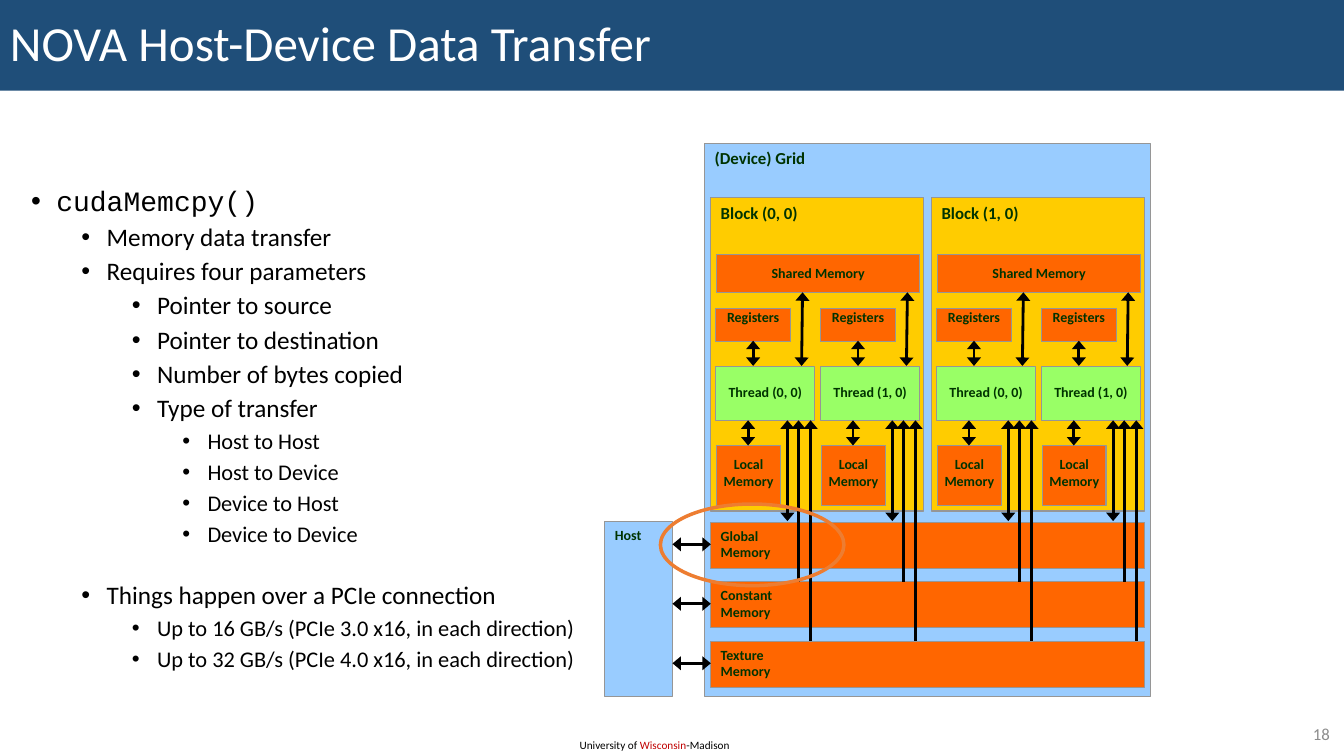
from dataclasses import dataclass
from typing import Optional, Sequence

from lxml.etree import SubElement
from pptx import Presentation
from pptx.dml.color import RGBColor
from pptx.enum.shapes import MSO_CONNECTOR, MSO_SHAPE
from pptx.enum.text import MSO_ANCHOR, PP_ALIGN
from pptx.oxml.ns import qn
from pptx.shapes.autoshape import Shape
from pptx.slide import Slide
from pptx.util import Pt

EMU_PER_PX = 9144  # 100 px to the inch


@dataclass(frozen=True)
class Theme:
    font: str = "Calibri"
    code_font: str = "Courier New"
    black: str = "000000"
    white: str = "FFFFFF"
    title_fill: str = "1F4E79"
    accent: str = "C00000"
    page_number: str = "8C8C8C"
    label: str = "003300"
    outline: str = "969696"
    device: str = "99CCFF"
    block: str = "FFCC00"
    memory: str = "FF6600"
    thread: str = "99FF66"
    highlight: str = "ED7D31"
    title_size: int = 35
    code_size: int = 20
    body_size: int = 18
    detail_size: int = 16
    heading_size: int = 12
    label_size: int = 10
    footer_size: int = 8


THEME = Theme()


@dataclass(frozen=True)
class Box:
    left: int
    top: int
    width: int
    height: int


@dataclass(frozen=True)
class Run:
    text: str
    color: Optional[str] = None


@dataclass(frozen=True)
class Bullet:
    text: str
    level: int
    size: int = THEME.body_size
    font: str = THEME.font
    space_before: int = 5


@dataclass(frozen=True)
class Arrow:
    start_x: int
    start_y: int
    end_x: int
    end_y: int
    both_ends: bool = True


BULLETS = (
    Bullet("cudaMemcpy()", 0, THEME.code_size, THEME.code_font, 0),
    Bullet("Memory data transfer", 1),
    Bullet("Requires four parameters", 1),
    Bullet("Pointer to source", 2),
    Bullet("Pointer to destination", 2),
    Bullet("Number of bytes copied", 2),
    Bullet("Type of transfer", 2),
    Bullet("Host to Host", 3, THEME.detail_size),
    Bullet("Host to Device", 3, THEME.detail_size),
    Bullet("Device to Host", 3, THEME.detail_size),
    Bullet("Device to Device", 3, THEME.detail_size),
    Bullet("Things happen over a PCIe connection", 1, space_before=25),
    Bullet("Up to 16 GB/s (PCIe 3.0 x16, in each direction)", 2, THEME.detail_size),
    Bullet("Up to 32 GB/s (PCIe 4.0 x16, in each direction)", 2, THEME.detail_size),
)

# Horizontal places are measured from the left edge of the thread.
THREAD_ARROWS = (
    Arrow(85, 363, 86, 290),
    Arrow(37, 363, 37, 338),
    Arrow(32, 442, 32, 417),
    Arrow(71, 417, 71, 517),
    Arrow(94, 417, 94, 636, both_ends=False),
    Arrow(82, 417, 82, 577, both_ends=False),
)


def px(length: int) -> int:
    return length * EMU_PER_PX


def add_paragraph(shape: Shape, runs: Sequence[Run], *, size: int, color: str = THEME.black,
                  font: str = THEME.font, bold: bool = False,
                  align: PP_ALIGN = PP_ALIGN.LEFT, line_spacing: float = 1.0,
                  space_before: int = 0, bullet_level: Optional[int] = None) -> None:
    """Fill the empty first paragraph of the shape, or append a new one."""
    frame = shape.text_frame
    paragraph = frame.add_paragraph() if frame.text else frame.paragraphs[0]
    paragraph.alignment = align
    paragraph.line_spacing = line_spacing
    paragraph.space_before = Pt(space_before)
    if bullet_level is not None:
        paragraph.level = bullet_level
        properties = paragraph._p.get_or_add_pPr()
        properties.set("marL", str(px(25 + 50 * bullet_level)))
        properties.set("indent", str(px(-25)))
        SubElement(properties, qn("a:buFont")).set("typeface", "Arial")
        SubElement(properties, qn("a:buChar")).set("char", "•")
    for item in runs:
        run = paragraph.add_run()
        run.text = item.text
        run.font.name = font
        run.font.size = Pt(size)
        run.font.bold = bold
        run.font.color.rgb = RGBColor.from_string(item.color or color)


def add_text_box(slide: Slide, box: Box, anchor: MSO_ANCHOR = MSO_ANCHOR.TOP) -> Shape:
    shape = slide.shapes.add_textbox(px(box.left), px(box.top), px(box.width), px(box.height))
    shape.text_frame.word_wrap = True
    shape.text_frame.vertical_anchor = anchor
    return shape


def add_box(slide: Slide, box: Box, *, fill: Optional[str], line: Optional[str] = THEME.outline,
            line_width: float = 0.75, kind: MSO_SHAPE = MSO_SHAPE.RECTANGLE) -> Shape:
    shape = slide.shapes.add_shape(kind, px(box.left), px(box.top), px(box.width), px(box.height))
    shape.shadow.inherit = False
    if fill:
        shape.fill.solid()
        shape.fill.fore_color.rgb = RGBColor.from_string(fill)
    else:
        shape.fill.background()
    if line:
        shape.line.color.rgb = RGBColor.from_string(line)
        shape.line.width = Pt(line_width)
    else:
        shape.line.fill.background()
    shape.text_frame.vertical_anchor = MSO_ANCHOR.TOP
    return shape


def add_labelled_box(slide: Slide, box: Box, lines: Sequence[str], fill: str, *,
                     size: int = THEME.label_size, centred_inset: Optional[int] = None) -> None:
    """Draw a box; a centred inset centres its label that far below the top."""
    shape = add_box(slide, box, fill=fill)
    align = PP_ALIGN.LEFT
    if centred_inset is not None:
        align = PP_ALIGN.CENTER
        frame = shape.text_frame
        frame.margin_left = frame.margin_right = frame.margin_bottom = 0
        frame.margin_top = px(centred_inset)
    for line in lines:
        add_paragraph(shape, [Run(line)], size=size, color=THEME.label, bold=True, align=align)


def add_arrow(slide: Slide, arrow: Arrow, offset: int = 0) -> None:
    connector = slide.shapes.add_connector(
        MSO_CONNECTOR.STRAIGHT, px(arrow.start_x + offset), px(arrow.start_y),
        px(arrow.end_x + offset), px(arrow.end_y))
    connector.line.color.rgb = RGBColor.from_string(THEME.black)
    connector.line.width = Pt(2)
    line = connector.line._get_or_add_ln()
    for end in ("a:headEnd", "a:tailEnd") if arrow.both_ends else ("a:headEnd",):
        head = SubElement(line, qn(end))
        for name, value in (("type", "triangle"), ("w", "lg"), ("len", "med")):
            head.set(name, value)
    SubElement(connector._element.spPr, qn("a:effectLst"))


def add_thread(slide: Slide, left: int, index: int) -> None:
    add_labelled_box(slide, Box(left + 1, 442, 63, 60), ["Local", "Memory"], THEME.memory,
                     centred_inset=10)
    add_labelled_box(slide, Box(left, 364, 98, 53), [f"Thread ({index}, 0)"], THEME.thread,
                     centred_inset=16)
    add_labelled_box(slide, Box(left, 306, 74, 33), ["Registers"], THEME.memory, centred_inset=0)
    for arrow in THREAD_ARROWS:
        add_arrow(slide, arrow, left)


def add_block(slide: Slide, index: int) -> None:
    left = 705 + 219 * index
    add_labelled_box(slide, Box(left, 196, 211, 311), [f"Block ({index}, 0)"], THEME.block,
                     size=THEME.heading_size)
    add_labelled_box(slide, Box(left + 6, 252, 201, 38), ["Shared Memory"], THEME.memory,
                     centred_inset=10)
    for thread in range(2):
        add_thread(slide, left + 5 + 104 * thread, thread)


def add_device_diagram(slide: Slide) -> None:
    add_labelled_box(slide, Box(699, 142, 442, 549), ["(Device) Grid"], THEME.device,
                     size=THEME.heading_size)
    memory_tops = [518 + 59 * row for row in range(3)]
    for name, top in zip(("Global", "Constant", "Texture"), memory_tops):
        add_labelled_box(slide, Box(705, top, 430, 46), [name, "Memory"], THEME.memory)
    for block in range(2):
        add_block(slide, block)
    add_labelled_box(slide, Box(600, 517, 67, 174), ["Host"], THEME.device)
    for top in memory_tops:
        add_arrow(slide, Arrow(667, top + 22, 705, top + 22))
    add_box(slide, Box(655, 500, 182, 81), fill=None, line=THEME.highlight, line_width=2.5,
            kind=MSO_SHAPE.FLOWCHART_CONNECTOR)


def main() -> None:
    presentation = Presentation()
    presentation.slide_width, presentation.slide_height = px(1333), px(750)
    slide = presentation.slides.add_slide(presentation.slide_layouts[6])

    footer = add_text_box(slide, Box(565, 728, 172, 24))
    add_paragraph(footer, [Run("University of "), Run("Wisconsin", THEME.accent), Run("-Madison")],
                  size=THEME.footer_size)
    title = add_box(slide, Box(0, 0, 1333, 90), fill=THEME.title_fill, line=None)
    title.text_frame.vertical_anchor = MSO_ANCHOR.MIDDLE
    add_paragraph(title, [Run("NOVA Host-Device Data Transfer")], size=THEME.title_size,
                  color=THEME.white, line_spacing=0.9)
    page_number = add_text_box(slide, Box(1253, 713, 76, 29), MSO_ANCHOR.MIDDLE)
    add_paragraph(page_number, [Run("18")], size=THEME.heading_size, color=THEME.page_number,
                  align=PP_ALIGN.RIGHT)
    body = add_text_box(slide, Box(21, 181, 569, 501))
    for bullet in BULLETS:
        add_paragraph(body, [Run(bullet.text)], size=bullet.size, font=bullet.font,
                      line_spacing=0.9, space_before=bullet.space_before,
                      bullet_level=bullet.level)
    add_device_diagram(slide)
    presentation.save("out.pptx")


if __name__ == "__main__":
    main()
